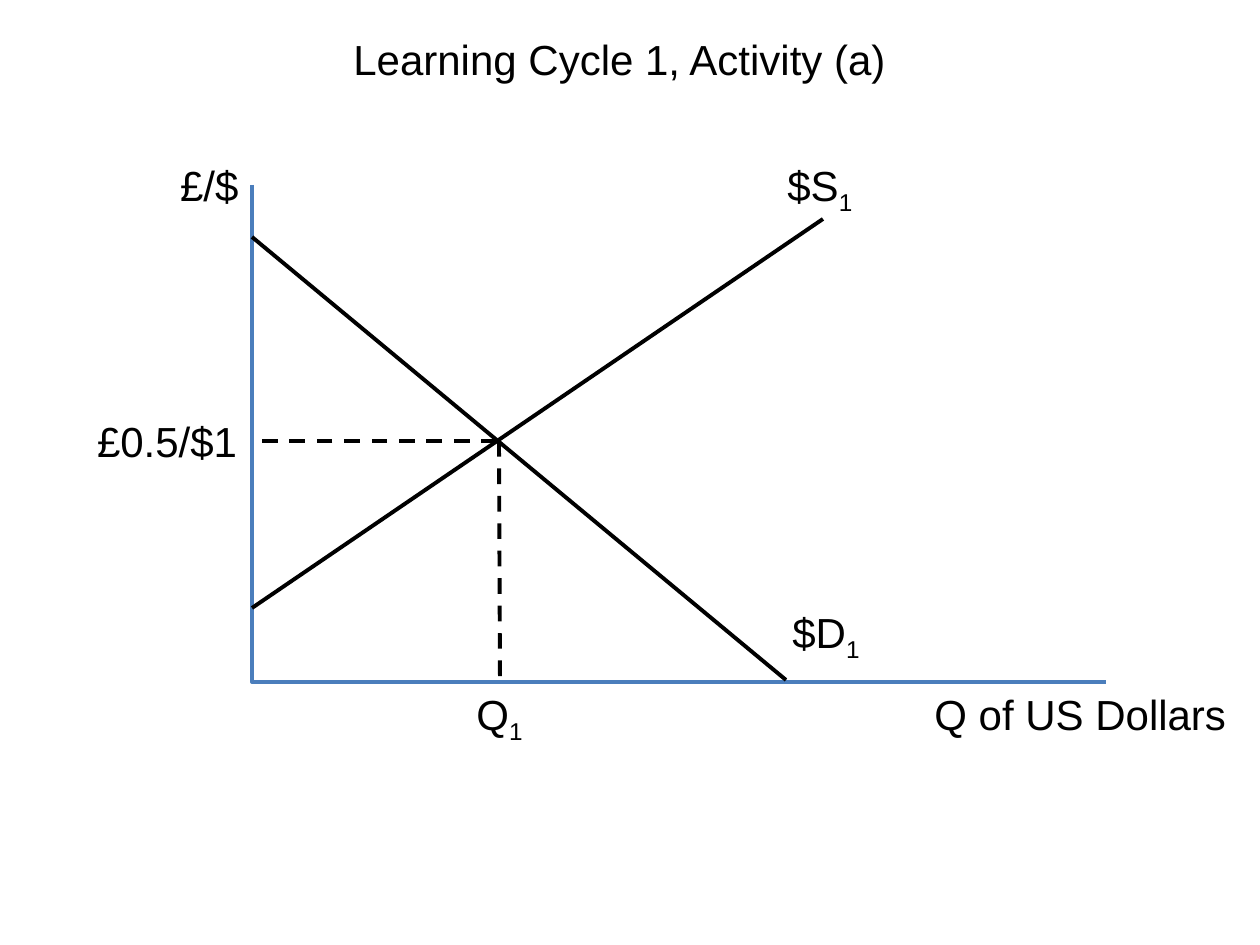
import pptx
import pptx.util
import pptx.dml.color
import pptx.enum.dml
import pptx.enum.shapes
import pptx.enum.text
import pptx.oxml.ns
import lxml.etree

SCALE = 914400 / 126
BLACK = "000000"
BLUE = "4B7EBC"


def emu(size):
    return pptx.util.Emu(round(size * SCALE))


def color(code):
    return pptx.dml.color.RGBColor.from_string(code)


def stroke(line, code):
    line.color.rgb = color(code)
    line.width = pptx.util.Pt(2.25)


def axes(slide, top, left, base, right):
    pen = slide.shapes.build_freeform(left, top, scale=SCALE)
    pen.add_line_segments([(left, base), (right, base)], close=False)
    shape = pen.convert_to_shape()
    shape.shadow.inherit = False
    shape.fill.background()
    stroke(shape.line, BLUE)


def line(slide, start, end, dashed=False):
    kind = pptx.enum.shapes.MSO_CONNECTOR.STRAIGHT
    link = slide.shapes.add_connector(kind, *map(emu, start + end))
    stroke(link.line, BLACK)
    if dashed:
        link.line.dash_style = pptx.enum.dml.MSO_LINE.DASH
    props = link._element.spPr
    lxml.etree.SubElement(props, pptx.oxml.ns.qn("a:effectLst"))


def label(slide, left, top, width, text, sub=""):
    box = slide.shapes.add_textbox(*map(emu, (left, top, width, 63)))
    frame = box.text_frame
    frame.word_wrap = False
    frame.auto_size = pptx.enum.text.MSO_AUTO_SIZE.SHAPE_TO_FIT_TEXT
    frame.text = text
    para = frame.paragraphs[0]
    if sub:
        run = para.add_run()
        run.text = sub
        run.font._element.set("baseline", "-25000")
    for run in para.runs:
        run.font.name = "Arial"
        run.font.size = pptx.util.Pt(24)
        run.font.color.rgb = color(BLACK)


def main():
    deck = pptx.Presentation()
    deck.slide_width = emu(1260)
    deck.slide_height = emu(945)
    slide = deck.slides.add_slide(deck.slide_layouts[6])

    axes(slide, 185, 252, 682, 1106)
    line(slide, (252, 608), (823, 219))
    line(slide, (252, 237), (786, 680))
    line(slide, (497, 441), (252, 441), True)
    line(slide, (499, 441), (500, 680), True)

    label(slide, 341, 27, 577, "Learning Cycle 1, Activity (a)")
    label(slide, 156, 153, 96, "\u00a0£/$")
    label(slide, 73, 409, 179, "\u00a0£0.5/$1")
    label(slide, 922, 682, 320, "Q of US Dollars")
    label(slide, 775, 153, 93, "$S", "1")
    label(slide, 780, 600, 96, "$D", "1")
    label(slide, 464, 682, 74, "Q", "1")
    deck.save("out.pptx")


main()
